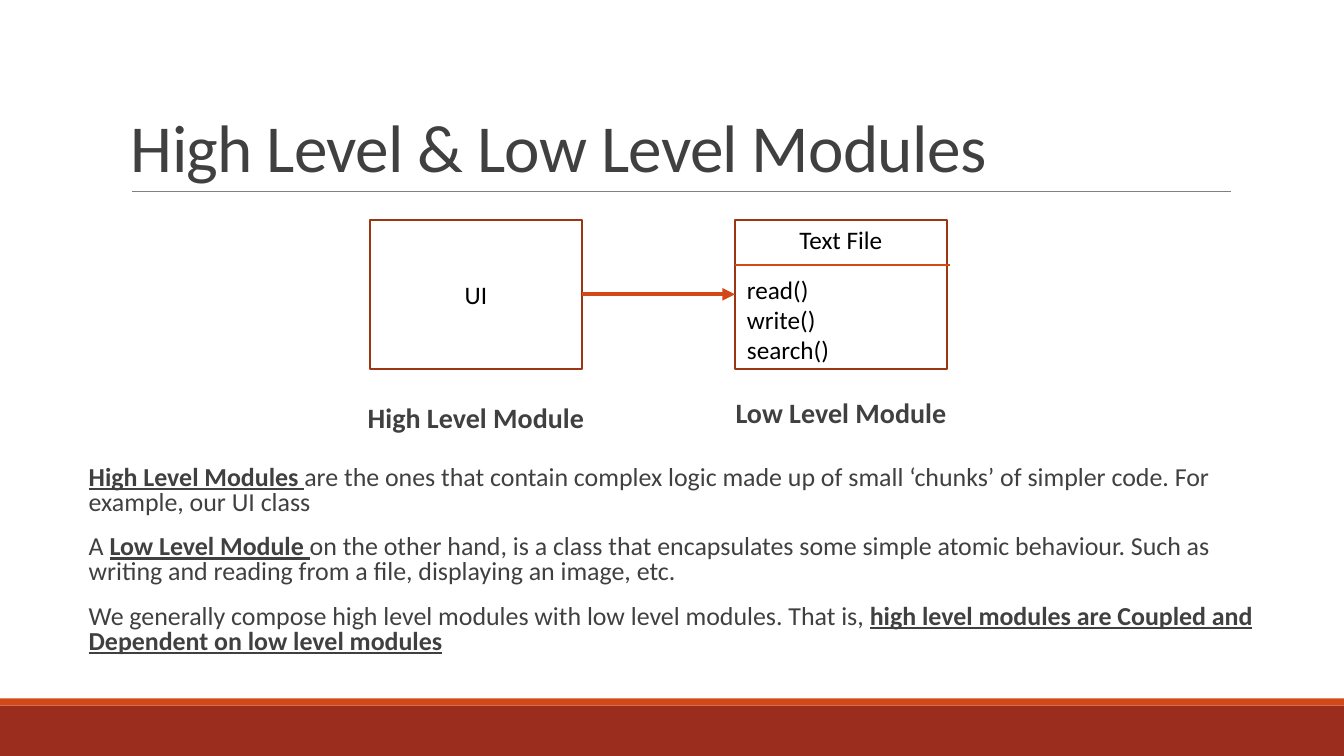
from lxml import etree
from pptx import Presentation
from pptx.dml.color import RGBColor
from pptx.enum.shapes import MSO_CONNECTOR, MSO_SHAPE
from pptx.enum.text import MSO_ANCHOR, PP_ALIGN
from pptx.oxml.ns import qn
from pptx.util import Inches, Pt

RECT, LINE = MSO_SHAPE.RECTANGLE, MSO_CONNECTOR.STRAIGHT
TOP, MIDDLE, BOTTOM = MSO_ANCHOR.TOP, MSO_ANCHOR.MIDDLE, MSO_ANCHOR.BOTTOM
LEFT, CENTER = PP_ALIGN.LEFT, PP_ALIGN.CENTER
WIDE, HIGH = 13.33, 7.5
FONT = "Calibri"
COLORS = {
    "white": "FFFFFF", "black": "000000", "ink": "404040", "rule": "808080",
    "accent": "D34817", "edge": "9C3511", "band": "9B2D1F",
}
PROSE = {"space_before": Pt(12), "space_after": Pt(2)}


def color(name):
    return RGBColor.from_string(COLORS[name])


def add_rect(slide, box, fill, edge=None):
    shape = slide.shapes.add_shape(RECT, *map(Inches, box))
    shape.shadow.inherit = False
    shape.fill.solid()
    shape.fill.fore_color.rgb = color(fill)
    if edge:
        shape.line.color.rgb = color(edge)
        shape.line.width = Pt(1.25)
    else:
        shape.line.fill.background()
    return shape


def add_line(slide, start, end, tint, width, arrow=False):
    line = slide.shapes.add_connector(LINE, *map(Inches, (*start, *end)))
    line.line.color.rgb = color(tint)
    line.line.width = Pt(width)
    if arrow:
        tail = etree.SubElement(line.line._get_or_add_ln(), qn("a:tailEnd"))
        tail.set("type", "triangle")
    etree.SubElement(line._element.spPr, qn("a:effectLst"))


def write(frame, paras, size, tint, align=LEFT, anchor=TOP, pad=0.1, look=None):
    """Fill a frame; every second run of a paragraph is bold and underlined."""
    margins = {"margin_left": Inches(pad), "margin_right": Inches(pad)}
    for key, value in {"word_wrap": True, "vertical_anchor": anchor, **margins}.items():
        setattr(frame, key, value)
    for i, runs in enumerate(paras):
        para = frame.add_paragraph() if i else frame.paragraphs[0]
        for key, value in {"alignment": align, **(look or {})}.items():
            if i or key != "space_before":
                setattr(para, key, value)
        for j, text in enumerate(runs):
            run = para.add_run()
            run.text = text
            marked = j % 2 == 1
            style = {"name": FONT, "size": Pt(size), "bold": marked, "underline": marked}
            for key, value in style.items():
                setattr(run.font, key, value)
            run.font.color.rgb = color(tint)


def add_text(slide, box, *args, **style):
    frame = slide.shapes.add_textbox(*map(Inches, box)).text_frame
    write(frame, *args, **style)
    return frame


def add_frame(slide):
    strip = 0.07
    foot = HIGH - 0.5
    add_rect(slide, (0, foot, WIDE, HIGH - foot), "band")
    add_rect(slide, (0, foot - strip, WIDE, strip), "accent")


def add_title(slide, box, text):
    x, y, wide, high = box
    base = y + high
    add_line(slide, (x + 0.11, base), (x + wide + 0.01, base), "rule", 0.5)
    frame = add_text(slide, box, [[text]], 48, "ink", anchor=BOTTOM,
                     look={"line_spacing": 0.85})
    frame.paragraphs[0].runs[0]._r.get_or_add_rPr().set("spc", "-50")


def add_label(slide, box, text):
    """Centre a bold caption under a module box."""
    x, y, wide, high = box
    extra = 0.125
    frame = add_text(slide, (x - extra, y, wide + 2 * extra, 0.66), [[text]], 20, "ink",
                     align=CENTER, pad=0, look={**PROSE, "line_spacing": 0.9})
    frame.paragraphs[0].runs[0].font.bold = True


def add_diagram(slide, box):
    x, y, wide, high = box
    cell = 2.1
    right = x + wide - cell
    user = add_rect(slide, (x, y, cell, high), "white", "edge")
    write(user.text_frame, [["UI"]], 18, "black", CENTER, MIDDLE)
    add_rect(slide, (right, y, cell, high), "white", "edge")
    mid = y + high / 2
    add_line(slide, (x + cell, mid), (right, mid), "accent", 3, arrow=True)
    split = y + 0.45
    add_line(slide, (right, split), (right + cell + 0.03, split), "accent", 1)
    add_text(slide, (right, y, cell, 0.4), [["Text File"]], 18, "black", align=CENTER)
    calls = [["read()"], ["write()"], ["search()"]]
    add_text(slide, (right + 0.02, split + 0.04, cell, 1.01), calls, 18, "black")
    base = y + high
    add_label(slide, (x, base + 0.3, cell, high), "High Level Module")
    add_label(slide, (right, base + 0.25, cell, high), "Low Level Module")


def add_body(slide, box):
    paras = [
        ["", "High Level Modules ",
         "are the ones that contain complex logic made up of small ‘chunks’ of simpler "
         "code. For example, our UI class"],
        ["A ", "Low Level Module ",
         "on the other hand, is a class that encapsulates some simple atomic behaviour. "
         "Such as writing and reading from a file, displaying an image, etc."],
        ["We generally compose high level modules with low level modules. That is, ",
         "high level modules are Coupled and Dependent on low level modules"],
    ]
    add_text(slide, box, paras, 18.5, "ink", pad=0, look={**PROSE, "line_spacing": 0.8})


def main():
    deck = Presentation()
    deck.slide_width, deck.slide_height = Inches(WIDE), Inches(HIGH)
    slide = deck.slides.add_slide(deck.slide_layouts[6])
    add_frame(slide)
    add_title(slide, (1.2, 0.31, 11, 1.59), "High Level & Low Level Modules")
    add_diagram(slide, (3.67, 2.18, 5.72, 1.48))
    add_body(slide, (0.88, 4.58, 11.79, 2.19))
    deck.save("out.pptx")


if __name__ == "__main__":
    main()
